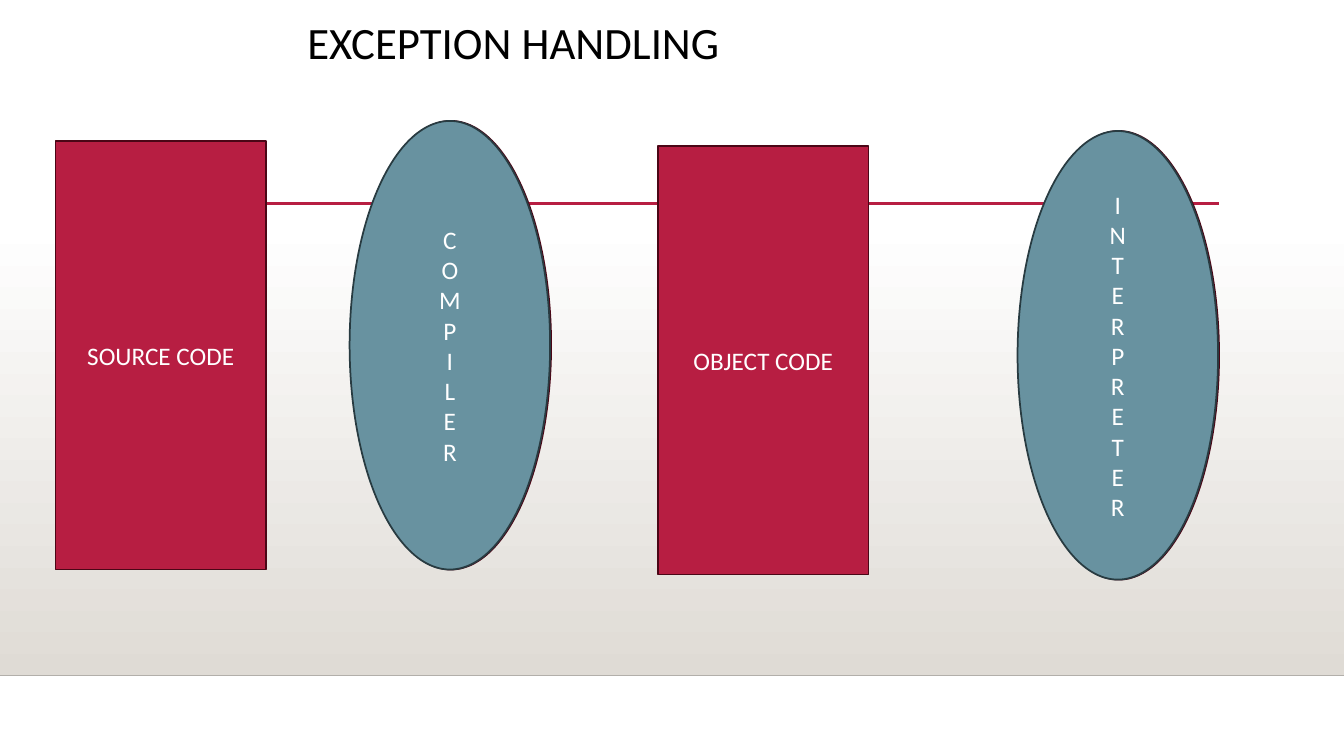
from pptx import Presentation
from pptx.dml.color import RGBColor
from pptx.enum.shapes import MSO_CONNECTOR, MSO_SHAPE
from pptx.enum.text import MSO_ANCHOR, PP_ALIGN
from pptx.oxml.ns import qn
from pptx.util import Emu, Pt
from lxml.etree import SubElement

SCALE = 9144
FONT = "Calibri"
COLORS = {
    "black": "000000",
    "white": "FFFFFF",
    "band": "DFDBD5",
    "floor": "B2AFAA",
    "red": "B71E42",
    "dark_red": "4B0616",
    "teal": "6892A0",
    "dark_teal": "283B41",
}


def px(length):
    return Emu(length * SCALE)


def color(name):
    return RGBColor.from_string(COLORS[name])


def format_text(frame, size, name):
    for para in frame.paragraphs:
        for span in para.runs:
            span.font.name = FONT
            span.font.size = Pt(size)
            span.font.color.rgb = color(name)


def add_title(page, text):
    title = page.shapes.title
    title.left, title.top, title.width, title.height = px(295), px(16), px(1039), px(115)
    frame = title.text_frame
    frame.text = text
    frame.vertical_anchor = MSO_ANCHOR.TOP
    frame.paragraphs[0].alignment = PP_ALIGN.LEFT
    frame.paragraphs[0].line_spacing = 0.9
    format_text(frame, 32, "black")


def add_band(page, top, height):
    band = page.shapes.add_shape(MSO_SHAPE.RECTANGLE, 0, px(top), px(1334), px(height))
    band.shadow.inherit = False
    band.line.fill.background()
    band.fill.gradient()
    band.fill.gradient_angle = 270
    for stop, name in zip(band.fill.gradient_stops, ("white", "band")):
        stop.color.rgb = color(name)


def add_rule(page, left, right, top, name, weight):
    rule = page.shapes.add_connector(
        MSO_CONNECTOR.STRAIGHT, px(left), px(top), px(right), px(top))
    rule.line.color.rgb = color(name)
    rule.line.width = Pt(weight)
    SubElement(rule._element.spPr, qn("a:effectLst"))


def add_block(page, kind, left, top, width, height, fill, text=""):
    block = page.shapes.add_shape(kind, px(left), px(top), px(width), px(height))
    block.shadow.inherit = False
    block.fill.solid()
    block.fill.fore_color.rgb = color(fill)
    block.line.color.rgb = color("dark_" + fill)
    block.line.width = Pt(1.25)
    if text:
        frame = block.text_frame
        frame.text = text
        frame.vertical_anchor = MSO_ANCHOR.MIDDLE
        for para in frame.paragraphs:
            para.alignment = PP_ALIGN.CENTER
        format_text(frame, 18, "white")


def add_code(page, left, top, text):
    add_block(page, MSO_SHAPE.RECTANGLE, left, top, 209, 425, "red", text)


def add_translator(page, left, top, word):
    add_block(page, MSO_SHAPE.OVAL, left + 1, top, 199, 445, "red")
    add_block(page, MSO_SHAPE.OVAL, left, top, 199, 445, "teal", "\n".join(word))


def main():
    deck = Presentation()
    deck.slide_width, deck.slide_height = px(1334), px(750)
    page = deck.slides.add_slide(deck.slide_layouts[5])
    add_title(page, "EXCEPTION HANDLING")
    add_band(page, 221, 449)
    add_rule(page, 0, 1334, 670, "floor", 1)
    add_rule(page, 159, 1210, 202, "red", 2.5)
    add_code(page, 55, 140, "SOURCE CODE")
    add_code(page, 653, 145, "OBJECT CODE")
    add_translator(page, 347, 120, "COMPILER")
    add_translator(page, 1010, 130, "INTERPRETER")
    deck.save("out.pptx")


if __name__ == "__main__":
    main()
